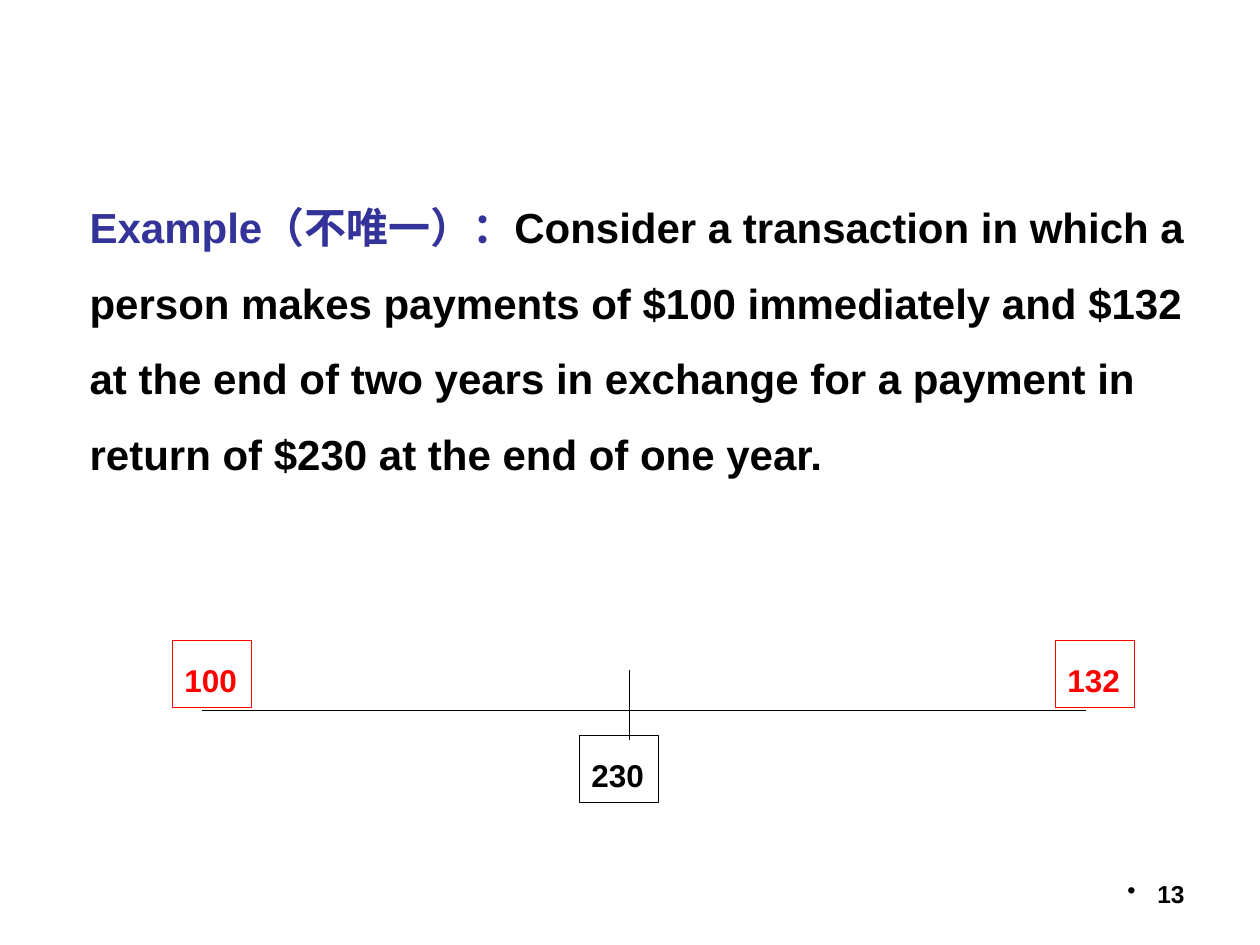
"""Build the slide on a transaction whose payments fall on a two-year timeline."""
from dataclasses import dataclass

from lxml.etree import SubElement
from pptx import Presentation
from pptx.dml.color import RGBColor
from pptx.enum.shapes import MSO_CONNECTOR, MSO_SHAPE
from pptx.enum.text import MSO_ANCHOR, MSO_AUTO_SIZE, PP_ALIGN
from pptx.oxml.ns import qn
from pptx.slide import Slide
from pptx.util import Emu, Pt


@dataclass(frozen=True)
class Theme:
    font: str = "Arial"
    ink: RGBColor = RGBColor(0, 0, 0)
    accent: RGBColor = RGBColor(0x33, 0x33, 0x99)
    paid: RGBColor = RGBColor(0xFF, 0, 0)
    body_size: int = 24
    amount_size: int = 18
    number_size: int = 14
    line_width: float = 0.5
    body_spacing: float = 1.5
    label_spacing: float = 1.4


@dataclass(frozen=True)
class Amount:
    text: str
    left: int
    top: int
    color: RGBColor


@dataclass(frozen=True)
class Stroke:
    x1: int
    y1: int
    x2: int
    y2: int


THEME = Theme()
AMOUNT_WIDTH, AMOUNT_HEIGHT = 79, 67
AMOUNTS = (
    Amount("100", 172, 640, THEME.paid),
    Amount("132", 1055, 640, THEME.paid),
    Amount("230", 579, 735, THEME.ink),
)
TIMELINE = (Stroke(202, 710, 1086, 710), Stroke(629, 670, 629, 740))
LEAD = "Example（不唯一）："
STATEMENT = (
    "Consider a transaction in which a person makes payments of $100 immediately "
    "and $132 at the end of two years in exchange for a payment in return of $230 "
    "at the end of one year."
)


def px(length: int) -> Emu:
    """Turn pixels into EMU."""
    return Emu(length * 914400 // 126)


def style(run, size: int, color: RGBColor) -> None:
    """Set a run in the bold theme font."""
    run.font.name = THEME.font
    run.font.size = Pt(size)
    run.font.bold = True
    run.font.color.rgb = color


def set_bullet(paragraph, indent: int, char: str = "") -> None:
    """Give a paragraph a hanging bullet, or none."""
    properties = paragraph._p.get_or_add_pPr()
    properties.set("marL", str(px(indent)))
    properties.set("indent", str(-px(indent)))
    if char:
        SubElement(properties, qn("a:buFontTx"))
        SubElement(properties, qn("a:buChar"), char=char)
    else:
        SubElement(properties, qn("a:buNone"))


def add_statement(slide: Slide) -> None:
    """Fill the body placeholder with the example."""
    body = slide.placeholders[1]
    body.left, body.top, body.width, body.height = px(77), px(170), px(1134), px(236)
    frame = body.text_frame
    frame.auto_size = MSO_AUTO_SIZE.NONE
    frame.vertical_anchor = MSO_ANCHOR.TOP
    paragraph = frame.paragraphs[0]
    set_bullet(paragraph, 0)
    paragraph.line_spacing = THEME.body_spacing
    paragraph.space_before = Pt(0)
    for text, color in ((LEAD, THEME.accent), (STATEMENT, THEME.ink)):
        run = paragraph.add_run()
        run.text = text
        style(run, THEME.body_size, color)


def add_stroke(slide: Slide, stroke: Stroke) -> None:
    """Draw one line of the timeline."""
    line = slide.shapes.add_connector(
        MSO_CONNECTOR.STRAIGHT,
        px(stroke.x1), px(stroke.y1), px(stroke.x2), px(stroke.y2),
    )
    line.line.color.rgb = THEME.ink
    line.line.width = Pt(THEME.line_width)
    SubElement(line._element.spPr, qn("a:effectLst"))


def add_amount(slide: Slide, amount: Amount) -> None:
    """Draw one framed payment."""
    box = slide.shapes.add_shape(
        MSO_SHAPE.RECTANGLE,
        px(amount.left), px(amount.top), px(AMOUNT_WIDTH), px(AMOUNT_HEIGHT),
    )
    box.shadow.inherit = False
    box.fill.background()
    box.line.color.rgb = amount.color
    box.line.width = Pt(THEME.line_width)
    frame = box.text_frame
    frame.word_wrap = False
    frame.vertical_anchor = MSO_ANCHOR.TOP
    frame.text = amount.text
    paragraph = frame.paragraphs[0]
    paragraph.alignment = PP_ALIGN.LEFT
    paragraph.line_spacing = THEME.label_spacing
    style(paragraph.runs[0], THEME.amount_size, amount.color)


def add_page_number(slide: Slide, number: str) -> None:
    """Write the bulleted page number at the lower right."""
    box = slide.shapes.add_textbox(px(903), px(861), px(294), px(66))
    frame = box.text_frame
    frame.word_wrap = True
    frame.text = number
    paragraph = frame.paragraphs[0]
    paragraph.alignment = PP_ALIGN.RIGHT
    paragraph.line_spacing = THEME.label_spacing
    set_bullet(paragraph, 30, "•")
    style(paragraph.runs[0], THEME.number_size, THEME.ink)


def main() -> None:
    """Build and save the slide."""
    deck = Presentation()
    deck.slide_width, deck.slide_height = px(1260), px(945)
    slide = deck.slides.add_slide(deck.slide_layouts[1])
    title = slide.shapes.title._element
    title.getparent().remove(title)
    add_page_number(slide, "13")
    add_statement(slide)
    for stroke in TIMELINE:
        add_stroke(slide, stroke)
    for amount in AMOUNTS:
        add_amount(slide, amount)
    deck.save("out.pptx")


if __name__ == "__main__":
    main()
